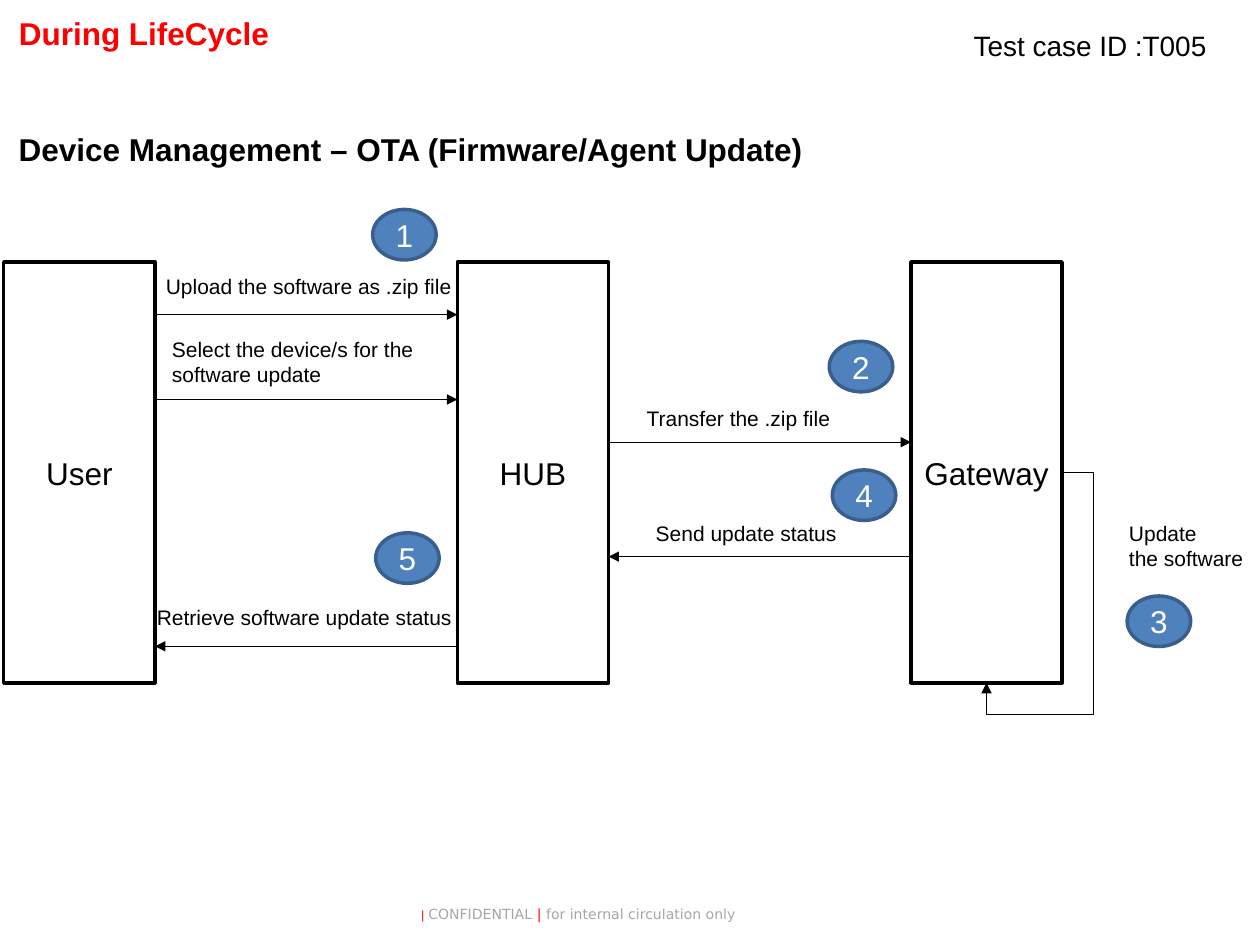
from lxml.etree import SubElement
from pptx import Presentation
from pptx.dml.color import RGBColor
from pptx.enum.shapes import MSO_CONNECTOR as Link, MSO_SHAPE as Form
from pptx.enum.text import MSO_ANCHOR as Anchor, MSO_AUTO_SIZE as Auto, PP_ALIGN as Align
from pptx.oxml.ns import qn
from pptx.util import Inches, Pt

WIDE, HIGH = 10, 7.5
COLS, ROWS = 7, 20
HEX = {"ink": "000000", "paper": "FFFFFF", "red": "FF0000", "grey": "A6A6A6",
       "blue": "4F81BD", "navy": "3A5F8C"}

LANES = [("User", 0), ("HUB", 3), ("Gateway", 6)]
# source lane, target lane, row, label, label column and row
STEPS = [
    (0, 1, 2.5, "Upload the software as .zip file", 0.99, 0.24),
    (0, 1, 6.53, "Select the device/s for the software update", 1.03, 3.23),
    (1, 2, 8.56, "Transfer the .zip file", 4.17, 6.53),
    (2, 1, 14, "Send update status", 4.23, 12),
    (1, 0, 18.26, "Retrieve software update status", 0.93, 16),
]
# column and row of each numbered badge, in order
BADGES = [(2.44, -2.5), (5.46, 3.77), (7.43, 15.87), (5.48, 9.88), (2.46, 12.87)]


def tint(name):
    return RGBColor.from_string(HEX[name])


def style(font, size, color="ink", bold=False, face="Arial"):
    font.name, font.size, font.bold = face, Pt(size), bold
    font.color.rgb = tint(color)


def write(shape, text, size, color="ink", bold=False, align=Align.LEFT):
    frame = shape.text_frame
    frame.text = text
    frame.word_wrap = True
    for para in frame.paragraphs:
        para.alignment = align
        style(para.font, size, color, bold)


def add_text(slide, box, text, size, **look):
    shape = slide.shapes.add_textbox(*map(Inches, box))
    write(shape, text, size, **look)


def add_node(slide, form, box, text, fill, line, color):
    node = slide.shapes.add_shape(form, *map(Inches, box))
    node.shadow.inherit = False
    node.fill.solid()
    node.fill.fore_color.rgb = tint(fill)
    node.line.color.rgb = tint(line)
    node.line.width = Pt(2)
    node.text_frame.vertical_anchor = Anchor.MIDDLE
    write(node, text, 18, color, align=Align.CENTER)
    return node


def add_arrow(slide, kind, *ends):
    arrow = slide.shapes.add_connector(kind, *map(Inches, ends))
    arrow.line.color.rgb = tint("ink")
    arrow.line.width = Pt(0.75)
    SubElement(arrow.line._get_or_add_ln(), qn("a:tailEnd"), type="triangle")
    SubElement(arrow._element.spPr, qn("a:effectLst"))
    return arrow


def add_loop(slide, node):
    """Lead from the node's right side around to its bottom."""
    loop = add_arrow(slide, Link.ELBOW, 0, 0, 1, 1)
    loop.begin_connect(node, 3)
    loop.end_connect(node, 2)
    geom = loop._element.spPr.find(qn("a:prstGeom"))
    geom.set("prst", "bentConnector4")
    guides = geom.find(qn("a:avLst"))
    for name, share in (("adj1", -41800), ("adj2", 115000)):
        SubElement(guides, qn("a:gd"), name=name, fmla=f"val {share}")


def add_head(slide, left, top, width, height):
    title = slide.shapes.title
    title.left, title.top = Inches(left), Inches(top)
    title.width, title.height = Inches(width * 0.5), Inches(height * 0.3)
    write(title, "During LifeCycle", 18, "red", True)
    title.text_frame.auto_size = Auto.NONE
    title.text_frame.vertical_anchor = Anchor.TOP
    add_text(slide, (left + width * 0.758, top + height * 0.09, width * 0.3, height * 0.28),
             "Test case ID :T005", 16)
    add_text(slide, (left, top + height * 0.7, width * 0.65, height * 0.3),
             "Device Management – OTA (Firmware/Agent Update)", 18, bold=True)


def add_flow(slide, left, top, width, height):
    col, row = width / COLS, height / ROWS

    def spot(x, y):
        return left + x * col, top + y * row

    nodes = [add_node(slide, Form.RECTANGLE, (*spot(x, 0), col, height), name,
                      "paper", "ink", "ink") for name, x in LANES]
    for start, end, y, label, x, above in STEPS:
        ahead = start < end
        tail = spot(LANES[start][1] + ahead, y)
        head = spot(LANES[end][1] + (not ahead), y)
        add_arrow(slide, Link.STRAIGHT, *tail, *head)
        add_text(slide, (*spot(x, above), 2.23 * col, 1.8 * row), label, 12)
    add_loop(slide, nodes[-1])
    add_text(slide, (*spot(7.36, 12), 2.23 * col, 3 * row), "Update\nthe software", 12)
    for num, place in enumerate(BADGES, 1):
        add_node(slide, Form.OVAL, (*spot(*place), 0.42 * col, 2.4 * row), str(num),
                 "blue", "navy", "paper")


def add_foot(slide, *box):
    shape = slide.shapes.add_textbox(*map(Inches, box))
    frame = shape.text_frame
    frame.word_wrap = True
    frame.vertical_anchor = Anchor.MIDDLE
    para = frame.paragraphs[0]
    para.alignment = Align.CENTER
    for text, size, color in (("| ", 6.5, "red"), ("CONFIDENTIAL ", 8, "grey"),
                              ("| ", 8, "red"), ("for internal circulation only", 8, "grey")):
        run = para.add_run()
        run.text = text
        style(run.font, size, color, face="DejaVu Sans")


def main():
    deck = Presentation()
    deck.slide_width, deck.slide_height = Inches(WIDE), Inches(HIGH)
    slide = deck.slides.add_slide(deck.slide_layouts[5])
    add_head(slide, 0.05, 0.06, WIDE, 1.32)
    add_flow(slide, 0.03, 2.08, 8.4, 3.34)
    add_foot(slide, 1, 7, 7.18, 0.5)
    deck.save("out.pptx")


if __name__ == "__main__":
    main()
